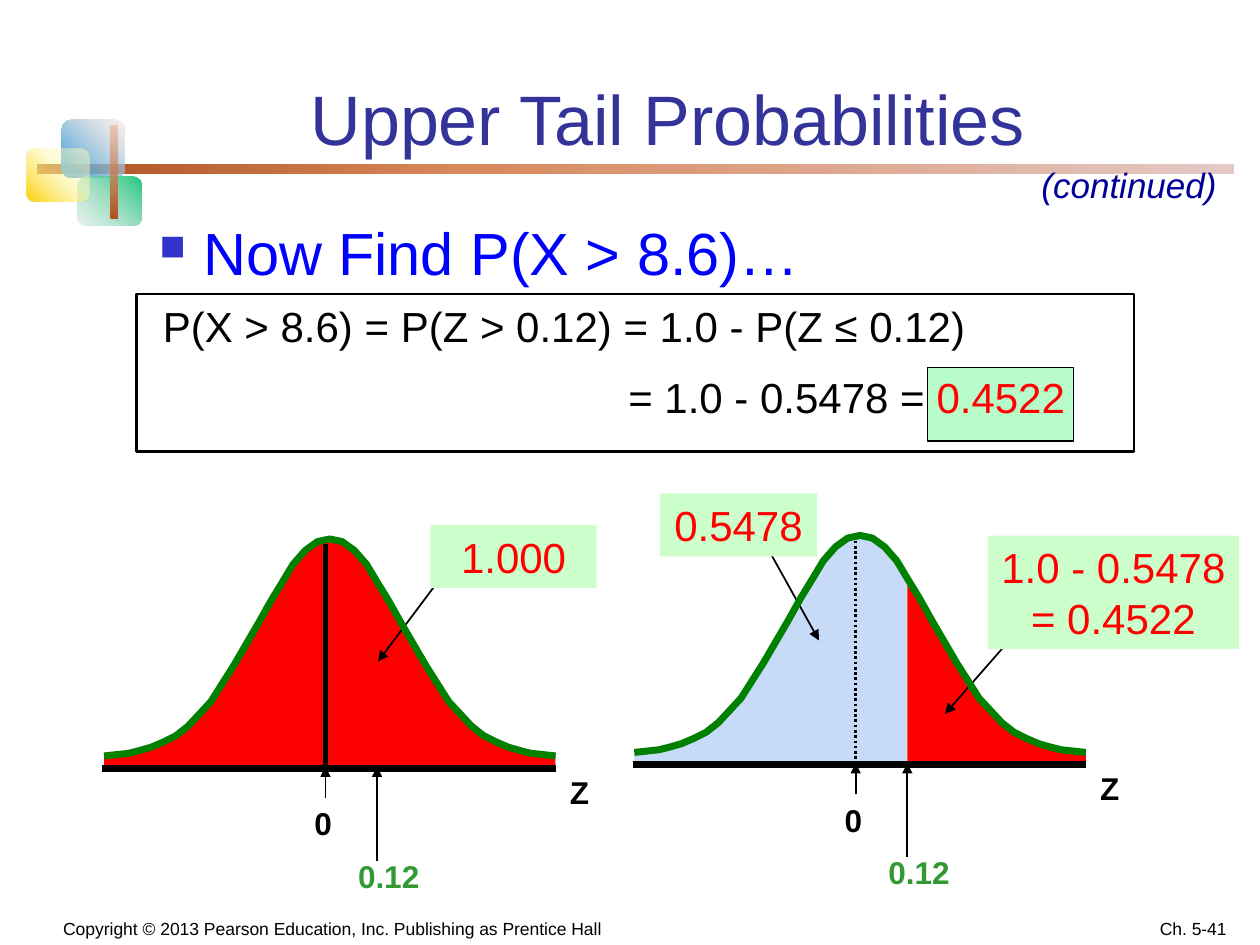
"""Build the upper tail probabilities slide with two normal curves."""
from dataclasses import dataclass

from lxml.etree import SubElement
from pptx import Presentation
from pptx.dml.color import RGBColor
from pptx.enum.dml import MSO_LINE
from pptx.enum.shapes import MSO_CONNECTOR, MSO_SHAPE
from pptx.enum.text import MSO_ANCHOR, PP_ALIGN
from pptx.oxml import parse_xml
from pptx.oxml.ns import nsdecls, qn
from pptx.util import Pt


@dataclass(frozen=True)
class Theme:
    font: str = "Arial"
    title: str = "333399"
    continued: str = "000099"
    question: str = "0000FF"
    bullet: str = "3333CC"
    ink: str = "000000"
    red: str = "FF0000"
    blue_area: str = "C7DAF7"
    curve: str = "008000"
    threshold: str = "339933"
    callout: str = "CCFFCC"
    highlight: str = "B8FAC8"
    title_size: int = 40
    question_size: int = 34
    body_size: int = 24
    continued_size: int = 20
    label_size: int = 18
    footer_size: int = 10


theme = Theme()
rgb = RGBColor.from_string
deck = Presentation()
deck.slide_width, deck.slide_height = Pt(720), Pt(540)
slide = deck.slides.add_slide(deck.slide_layouts[5])
shapes = slide.shapes


def label(text, box, size, color, bold=False, align=PP_ALIGN.LEFT, anchor=MSO_ANCHOR.TOP, fill=None):
    text_box = shapes.add_textbox(*map(Pt, box))
    if fill:
        text_box.fill.solid()
        text_box.fill.fore_color.rgb = rgb(fill)
    frame = text_box.text_frame
    frame.word_wrap = True
    frame.vertical_anchor = anchor
    paragraph = frame.paragraphs[0]
    paragraph.text = text
    paragraph.alignment = align
    font = paragraph.font
    font.name, font.size, font.bold = theme.font, Pt(size), bold
    font.color.rgb = rgb(color)
    return frame


def outline(points, color, closed):
    points = [(Pt(x), Pt(y)) for x, y in points]
    builder = shapes.build_freeform(*points[0], scale=1.0)
    builder.add_line_segments(points[1:], close=closed)
    shape = builder.convert_to_shape()
    shape.shadow.inherit = False
    if closed:
        shape.fill.solid()
        shape.fill.fore_color.rgb = rgb(color)
        shape.line.fill.background()
    else:
        shape.fill.background()
        shape.line.color.rgb = rgb(color)
        shape.line.width = Pt(4)


ornaments = [
    ((21, 93.6, 684, 6), 0, [(0, "AE511E", 100), (37, "D88A5E", 100), (100, "E4C9C6", 100)]),
    ((35, 68.4, 36, 33), 315, [(0, "2895D8", 100), (100, "F7E2D9", 50)]),
    ((44.6, 101, 36, 28), 135, [(0, "25C580", 100), (100, "CCE2D9", 50)]),
    ((15, 85, 36, 30), 315, [(0, "FFCF01", 100), (63, "FCFCBC", 50)]),
    ((63, 72, 4, 53), 270, [(0, "AE511E", 100), (100, "EAA782", 50)]),
]
for box, angle, stops in ornaments:
    ornament = shapes.add_shape(MSO_SHAPE.ROUNDED_RECTANGLE, *map(Pt, box))
    ornament.shadow.inherit = False
    ornament.line.fill.background()
    ornament.fill.gradient()
    properties = ornament.element.spPr
    stop_xml = "".join(
        f'<a:gs pos="{position * 1000}"><a:srgbClr val="{color}">'
        f'<a:alpha val="{alpha * 1000}"/></a:srgbClr></a:gs>'
        for position, color, alpha in stops
    )
    gradient = parse_xml(
        f'<a:gradFill {nsdecls("a")} rotWithShape="1"><a:gsLst>{stop_xml}</a:gsLst>'
        f'<a:lin ang="{angle * 60000}" scaled="1"/></a:gradFill>'
    )
    properties.replace(properties.find(qn("a:gradFill")), gradient)

title = shapes.title
title.left, title.top, title.width, title.height = map(Pt, (91, 16.5, 581, 78))
title.text_frame.text = "Upper Tail Probabilities"
title.text_frame.vertical_anchor = MSO_ANCHOR.BOTTOM
heading = title.text_frame.paragraphs[0]
heading.alignment = PP_ALIGN.CENTER
heading.font.name, heading.font.size = theme.font, Pt(theme.title_size)
heading.font.color.rgb = rgb(theme.title)

continued = label("(continued)", (588, 90, 120, 31), theme.continued_size, theme.continued)
continued.paragraphs[0].font.italic = True

question = label("Now Find P(X > 8.6)…", (84, 120, 414, 54), theme.question_size, theme.question)
bullet_format = question.paragraphs[0]._p.get_or_add_pPr()
bullet_format.set("marL", str(Pt(25)))
bullet_format.set("indent", str(Pt(-25)))
bullet_parts = [
    f'<a:buClr {nsdecls("a")}><a:srgbClr val="{theme.bullet}"/></a:buClr>',
    f'<a:buSzPct {nsdecls("a")} val="60000"/>',
    f'<a:buChar {nsdecls("a")} char="■"/>',
]
for position, part in enumerate(bullet_parts):
    bullet_format.insert(position, parse_xml(part))

frames = [((530, 210, 83.5, 42), theme.highlight, 0.75), ((78, 168, 570, 90), None, 1.5)]
for box, fill, weight in frames:
    frame = shapes.add_shape(MSO_SHAPE.RECTANGLE, *map(Pt, box))
    frame.shadow.inherit = False
    frame.line.color.rgb = rgb(theme.ink)
    frame.line.width = Pt(weight)
    if fill:
        frame.fill.solid()
        frame.fill.fore_color.rgb = rgb(fill)
    else:
        frame.fill.background()

formula = label("P(X > 8.6) = P(Z > 0.12) = 1.0 - P(Z ≤ 0.12)", (66, 168, 606, 79),
                theme.body_size, theme.ink)
formula.paragraphs[0]._p.get_or_add_pPr().set("marL", str(Pt(20)))
result = formula.add_paragraph()
result._p.get_or_add_pPr().set("marL", str(Pt(286)))
result.space_before = Pt(12)
result.font.name, result.font.size = theme.font, Pt(theme.body_size)
for text, color in [("= 1.0 - 0.5478 = ", theme.ink), ("0.4522", theme.red)]:
    run = result.add_run()
    run.text = text
    run.font.color.rgb = rgb(color)

half_curve = [
    (0, 0), (7, 1.5), (14, 6.5), (21, 14.5), (27, 24.5), (34, 36), (41, 48.5), (55, 72.5),
    (68, 93), (81, 107), (88, 112.5), (95, 116), (102, 119), (109, 121), (115, 122.5), (129, 124),
]
bell = [(-x, y) for x, y in half_curve[:0:-1]] + half_curve
mean, threshold, base = -2.5, 27, 130
plots = [
    (188.5, 308, theme.red, 2.5, None, [(252, 330, 216, 378)]),
    (491.5, 306, theme.blue_area, 1.5, MSO_LINE.ROUND_DOT,
     [(582, 360, 540, 408), (438, 312, 468, 366)]),
]
for peak_x, peak_y, lower_color, mean_weight, mean_dash, callout_arrows in plots:
    curve = [(peak_x + x, peak_y + y) for x, y in bell]
    cut = bell.index((threshold, 24.5))
    for part, color in [(curve[:cut + 1], lower_color), (curve[cut:], theme.red)]:
        floor = [(part[-1][0], peak_y + base), (part[0][0], peak_y + base)]
        outline(part + floor, color, True)

    zero_x, threshold_x, axis_y = peak_x + mean, peak_x + threshold, peak_y + base
    lines = [
        (zero_x, peak_y + 3, zero_x, axis_y, mean_weight, mean_dash, False),
        (peak_x - 130, axis_y + 1, peak_x + 129, axis_y + 1, 4, None, False),
        (zero_x, axis_y + 18, zero_x, axis_y, 1, None, True),
        (threshold_x, axis_y + 54, threshold_x, axis_y, 1, None, True),
    ] + [(*ends, 1, None, True) for ends in callout_arrows]
    for *ends, weight, dash, has_head in lines:
        connector = shapes.add_connector(MSO_CONNECTOR.STRAIGHT, *map(Pt, ends))
        connector.line.color.rgb = rgb(theme.ink)
        connector.line.width = Pt(weight)
        if dash:
            connector.line.dash_style = dash
        if has_head:
            SubElement(connector.line._get_or_add_ln(), qn("a:tailEnd"), type="triangle")
        SubElement(connector.element.spPr, qn("a:effectLst"))
    outline(curve, theme.curve, False)

    axis_labels = [("Z", 130, 130, theme.ink), ("0", -16, 148, theme.ink),
                   ("0.12", 9, 178, theme.threshold)]
    for text, x, y, color in axis_labels:
        label(text, (peak_x + x, peak_y + y, 60, 29), theme.label_size, color, bold=True)

callouts = [("1.000", (246, 300, 95, 36)), ("0.5478", (377, 282, 90, 36)),
            ("1.0 - 0.5478 = 0.4522", (564.5, 306, 143.5, 65))]
for text, box in callouts:
    label(text, box, theme.body_size, theme.red, align=PP_ALIGN.CENTER, fill=theme.callout)

footers = [
    ("Copyright © 2013 Pearson Education, Inc. Publishing as Prentice Hall",
     (29, 515, 331, 25), PP_ALIGN.LEFT),
    ("Ch. 5-41", (540, 515, 168, 25), PP_ALIGN.RIGHT),
]
for text, box, align in footers:
    label(text, box, theme.footer_size, theme.ink, align=align, anchor=MSO_ANCHOR.BOTTOM)

deck.save("out.pptx")
